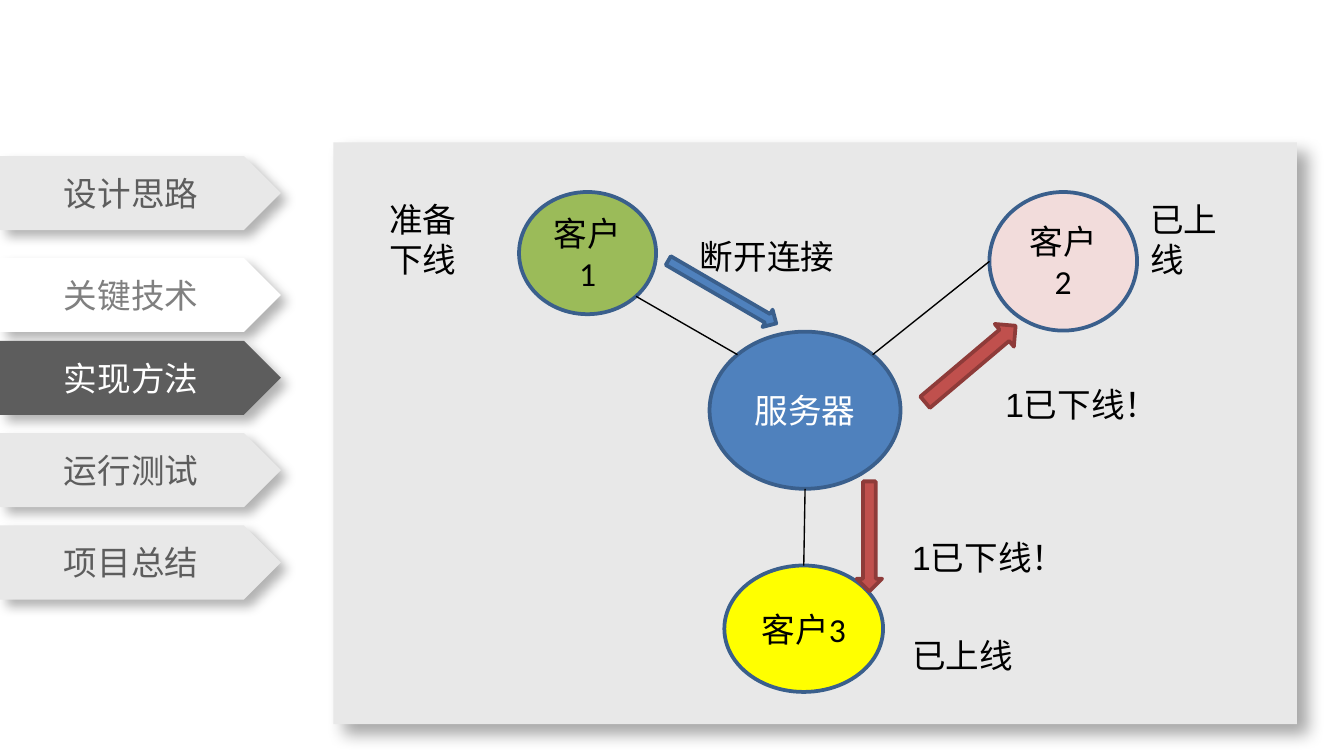
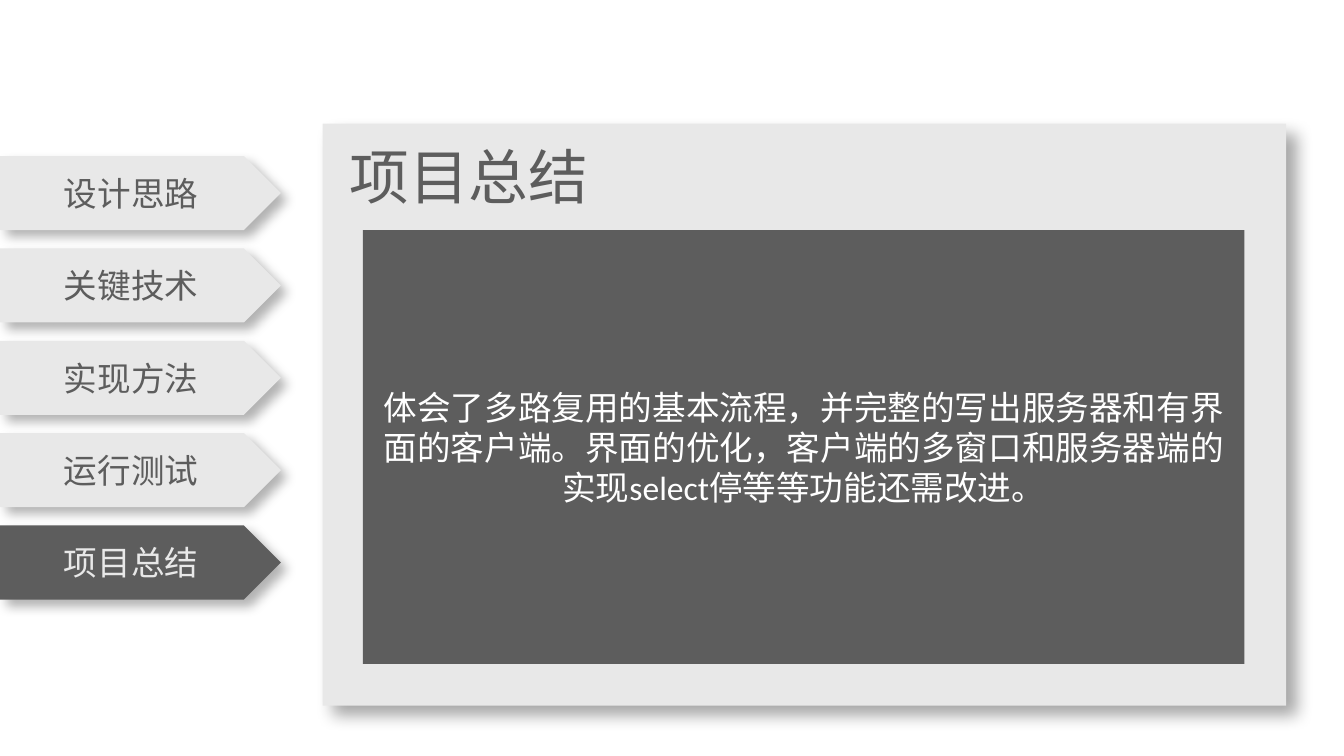
from collections import namedtuple
from math import cos, radians, sin

from lxml.etree import SubElement
from pptx import Presentation
from pptx.dml.color import RGBColor
from pptx.enum.shapes import MSO_CONNECTOR, MSO_SHAPE
from pptx.enum.text import MSO_ANCHOR, PP_ALIGN
from pptx.oxml.ns import qn
from pptx.util import Cm, Pt

BLACK = RGBColor(0x00, 0x00, 0x00)
WHITE = RGBColor(0xFF, 0xFF, 0xFF)
LIGHT = RGBColor(0xE8, 0xE8, 0xE8)
MID = RGBColor(0x80, 0x80, 0x80)
DARK = RGBColor(0x5D, 0x5D, 0x5D)
BLUE = RGBColor(0x4F, 0x81, 0xBD)
BLUE_EDGE = RGBColor(0x3A, 0x5F, 0x8C)
GREEN = RGBColor(0x9B, 0xBB, 0x59)
PINK = RGBColor(0xF2, 0xDC, 0xDB)
YELLOW = RGBColor(0xFF, 0xFF, 0x00)
RED = RGBColor(0xC0, 0x50, 0x4D)
RED_EDGE = RGBColor(0x8E, 0x3B, 0x39)

HEAD_FONT = "DejaVu Sans"
BODY_FONT = "Calibri"
LABEL_FONT = "Arial"

Box = namedtuple("Box", "x y w h")
MENU = Box(0, 2.95, 5.31, 1.4)
MENU_PITCH = 1.746
MENU_ITEMS = ["设计思路", "关键技术", "实现方法", "运行测试", "项目总结"]


def inside(box, x, y, w, h):
    """Return a box placed relative to the corner of another."""
    return Box(box.x + x, box.y + y, w, h)


def lengths(box):
    """Turn a box in centimetres into slide lengths."""
    return [Cm(v) for v in box]


def add_text(sp, text, font, color, size=18, align=PP_ALIGN.CENTER):
    """Write one wrapped paragraph into a shape."""
    tf = sp.text_frame
    tf.word_wrap = True
    p = tf.paragraphs[0]
    p.text = text
    p.alignment = align
    p.font.name = font
    p.font.size = Pt(size)
    p.font.color.rgb = color


def add_block(slide, kind, box, fill, edge=None):
    """Draw a flat shape, outlined if an edge colour is given."""
    sp = slide.shapes.add_shape(kind, *lengths(box))
    sp.fill.solid()
    sp.fill.fore_color.rgb = fill
    if edge is None:
        sp.line.fill.background()
    else:
        sp.line.color.rgb = edge
        sp.line.width = Pt(2)
    sp.shadow.inherit = False
    return sp


def add_shadow(sp, alpha, blur, distance):
    """Cast a soft black shadow down and to the right."""
    effects = sp.element.spPr.find(qn("a:effectLst"))
    shadow = SubElement(effects, qn("a:outerShdw"), blurRad=str(Pt(blur)),
                        dist=str(Pt(distance)), dir="2700000",
                        algn="tl", rotWithShape="0")
    color = SubElement(shadow, qn("a:srgbClr"), val=str(BLACK))
    SubElement(color, qn("a:alpha"), val=str(alpha * 1000))


def add_panel(slide, box):
    """Draw the grey content panel."""
    sp = add_block(slide, MSO_SHAPE.RECTANGLE, box, LIGHT)
    add_shadow(sp, 35, 9, 8)
    return sp


def add_menu(slide, box, styles, shifts):
    """Stack the section tabs, with special colours and shifts by index."""
    for i, item in enumerate(MENU_ITEMS):
        fill, color = styles.get(i, (LIGHT, DARK))
        top = i * MENU_PITCH + shifts.get(i, 0)
        tab = inside(box, 0, top, box.w, box.h)
        sp = add_block(slide, MSO_SHAPE.PENTAGON, tab, fill)
        add_shadow(sp, 30, 6, 5)
        add_text(sp, item, HEAD_FONT, color)


def rim(box, degrees):
    """Return the point of an ellipse at an angle clockwise from the right."""
    angle = radians(degrees)
    return (box.x + box.w / 2 * (1 + cos(angle)),
            box.y + box.h / 2 * (1 + sin(angle)))


def add_link(slide, start, end):
    """Draw a thin black line between two points."""
    line = slide.shapes.add_connector(
        MSO_CONNECTOR.STRAIGHT, *[Cm(v) for v in start + end])
    line.line.color.rgb = BLACK
    line.line.width = Pt(0.75)
    SubElement(line.element.spPr, qn("a:effectLst"))


def add_network(slide, box):
    """Draw the server, its clients, their links, messages and labels."""
    server = inside(box, 7.11, 3.58, 3.61, 2.97)
    client1 = inside(box, 3.51, 0.94, 2.59, 2.31)
    client2 = inside(box, 12.4, 0.94, 2.79, 2.62)
    client3 = inside(box, 7.39, 8, 3, 2.39)
    nodes = [
        (server, "服务器", BLUE, WHITE),
        (client1, "客户1", GREEN, BLACK),
        (client2, "客户2", PINK, BLACK),
        (client3, "客户3", YELLOW, BLACK),
    ]
    for node, name, fill, color in nodes:
        sp = add_block(slide, MSO_SHAPE.OVAL, node, fill, BLUE_EDGE)
        add_text(sp, name, BODY_FONT, color)

    add_link(slide, rim(client1, 45), rim(server, 225))
    add_link(slide, rim(client2, 180), rim(server, 315))
    add_link(slide, rim(server, 90), rim(client3, 270))

    messages = [
        ((6.17, 2.64, 2.36, 0.38), 30.2, BLUE, BLUE_EDGE),
        ((10.92, 3.91, 2.24, 0.56), 319.8, RED, RED_EDGE),
        ((9.09, 7.21, 2.08, 0.48), 90, RED, RED_EDGE),
    ]
    for place, rotation, fill, edge in messages:
        sp = add_block(slide, MSO_SHAPE.RIGHT_ARROW, inside(box, *place), fill, edge)
        sp.rotation = rotation

    labels = [
        ("已上线", 15.19, 0.94, 2.01, 1.8),
        ("已上线", 10.69, 9.19, 3.51, 1.02),
        ("准备下线", 0.81, 0.94, 2.39, 1.8),
        ("断开连接", 6.68, 1.65, 3.12, 1.02),
        ("1已下线！", 12.45, 4.45, 3.15, 1.02),
        ("1已下线！", 10.69, 7.34, 4.5, 1.02),
    ]
    for text, *place in labels:
        sp = slide.shapes.add_textbox(*lengths(inside(box, *place)))
        add_text(sp, text, LABEL_FONT, BLACK, align=PP_ALIGN.LEFT)


def build_method(prs, box):
    """Build the slide on how a client goes offline."""
    slide = prs.slides.add_slide(prs.slide_layouts[6])
    add_panel(slide, box)
    add_menu(slide, MENU, {1: (WHITE, MID), 2: (DARK, WHITE)}, {1: 0.18})
    add_network(slide, box)


def build_summary(prs, box):
    """Build the slide that sums up the project."""
    slide = prs.slides.add_slide(prs.slide_layouts[5])
    panel = add_panel(slide, box)
    sp = add_block(slide, MSO_SHAPE.RECTANGLE,
                   inside(box, 0.76, 2.01, 16.66, 8.2), DARK)
    add_text(sp, "体会了多路复用的基本流程，并完整的写出服务器和有界面的客户端。"
                 "界面的优化，客户端的多窗口和服务器端的实现select停等等功能还需改进。",
             BODY_FONT, WHITE)
    title = slide.shapes.title
    title.left, title.top, title.width, title.height = lengths(
        inside(box, 0.25, 0.18, 7.37, 1.63))
    title.text_frame.vertical_anchor = MSO_ANCHOR.TOP
    add_text(title, "项目总结", HEAD_FONT, DARK, 32, PP_ALIGN.LEFT)
    panel.element.addnext(title.element)
    add_menu(slide, MENU, {4: (DARK, LIGHT)}, {})


def main():
    """Build and save the presentation."""
    prs = Presentation()
    prs.slide_width, prs.slide_height = Cm(25.4), Cm(14.29)
    build_method(prs, Box(6.3, 2.69, 18.21, 11))
    build_summary(prs, Box(6.1, 2.34, 18.21, 11))
    prs.save("out.pptx")


if __name__ == "__main__":
    main()
